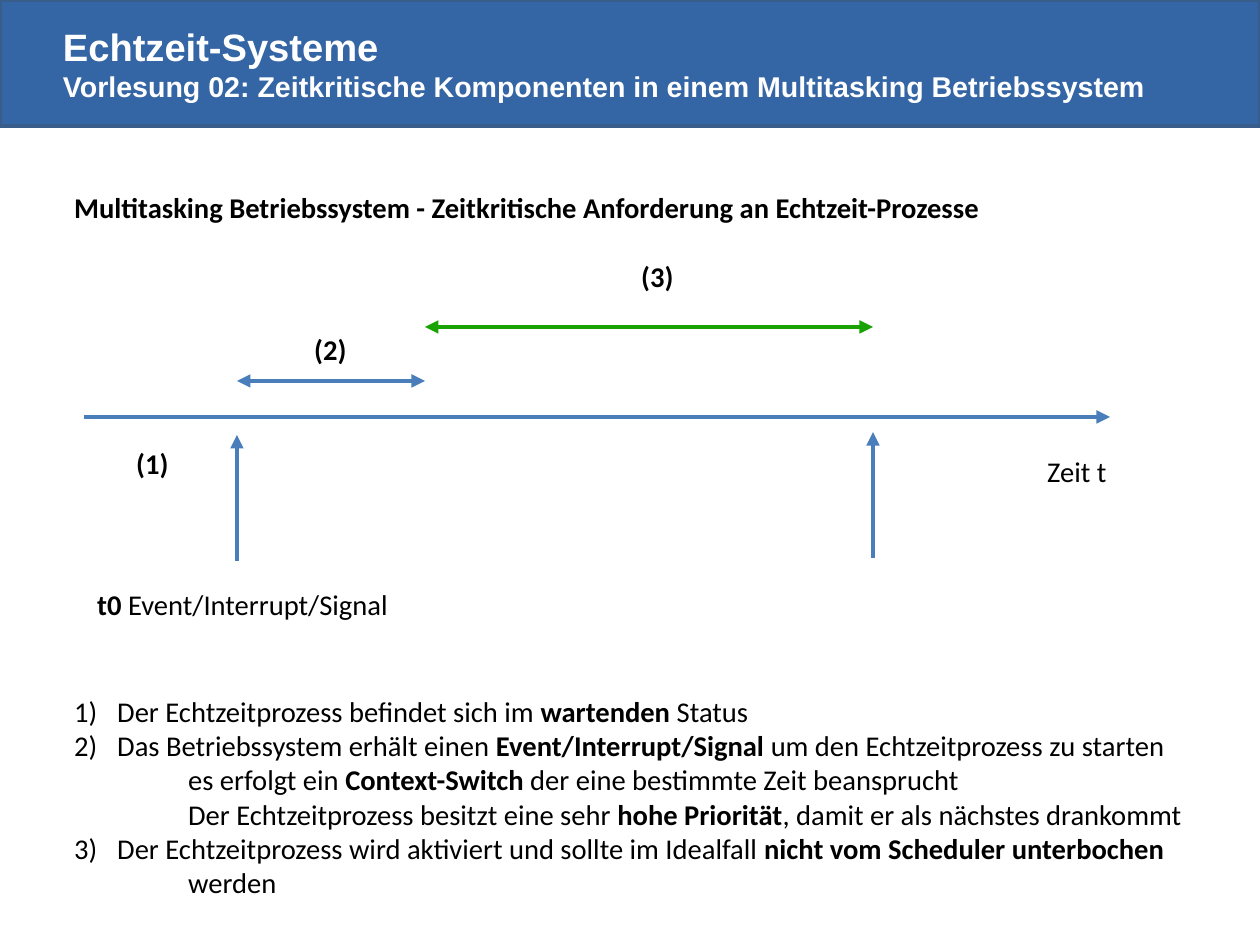
"""Build the slide on time-critical demands in a multitasking operating system."""
from lxml import etree
from pptx import Presentation
from pptx import util as u
from pptx.dml.color import RGBColor
from pptx.enum import shapes, text
from pptx.oxml import ns

PX = 8000
WHITE = RGBColor(0xFF, 0xFF, 0xFF)
BLACK = RGBColor(0, 0, 0)
BANNER_FILL = RGBColor(0x34, 0x65, 0xA4)
BANNER_EDGE = RGBColor(0x38, 0x5D, 0x8A)
BLUE = RGBColor(0x4A, 0x7E, 0xBB)
GREEN = RGBColor(0x18, 0xA3, 0x03)

SLIDE_WIDTH, SLIDE_HEIGHT = 1260, 945
LEFT_EDGE = 63
LINE_HEIGHT = 46
NUMBER_INDENT = 43
DETAIL_INDENT = 114
AXIS_Y = 417
EVENT_X, SWITCH_X, END_X = 237, 425, 873
EVENT_LENGTH = 126

LABELS = [
    (1036, 448, 83, "Zeit t"),
    (86, 581, 323, "*t0* Event/Interrupt/Signal"),
    (125, 440, 55, "*(1)*"),
    (303, 326, 56, "*(2)*"),
    (630, 253, 56, "*(3)*"),
]

STEPS = [
    (1, "Der Echtzeitprozess befindet sich im *wartenden* Status"),
    (1, "Das Betriebssystem erhält einen *Event/Interrupt/Signal *um den Echtzeitprozess zu starten"),
    (None, "es erfolgt ein *Context-Switch* der eine bestimmte Zeit beansprucht"),
    (None, "Der Echtzeitprozess besitzt eine sehr *hohe Priorität*, damit er als nächstes drankommt"),
    (3, "Der Echtzeitprozess wird aktiviert und sollte im Idealfall *nicht vom Scheduler unterbochen*"),
    (None, "werden"),
]


def px(length):
    """Turn px into EMU."""
    return u.Emu(length * PX)


def add_frame(slide, left, top, width, height, wrap=True):
    """Add a text box and return its text frame."""
    frame = slide.shapes.add_textbox(px(left), px(top), px(width), px(height)).text_frame
    frame.word_wrap = wrap
    return frame


def style_run(run, size, font, color, bold):
    """Set the font of one run."""
    run.font.size = u.Pt(size)
    run.font.name = font
    run.font.color.rgb = color
    run.font.bold = bold


def fill_paragraph(paragraph, marked):
    """Write body text in which asterisks enclose the bold parts."""
    for position, part in enumerate(marked.split("*")):
        if part:
            run = paragraph.add_run()
            run.text = part
            style_run(run, 18, "Calibri", BLACK, position % 2 == 1)


def indent_paragraph(paragraph, start):
    """Number a step from start, or indent it as a detail without a number."""
    properties = paragraph._p.get_or_add_pPr()
    margin, hanging = (NUMBER_INDENT, -NUMBER_INDENT) if start else (DETAIL_INDENT, 0)
    properties.set("marL", str(px(margin)))
    properties.set("indent", str(px(hanging)))
    if start:
        etree.SubElement(properties, ns.qn("a:buAutoNum"), type="arabicParenR", startAt=str(start))


def add_banner(slide):
    """Add the heading band with its two title lines."""
    band = slide.shapes.add_shape(shapes.MSO_SHAPE.RECTANGLE, 0, 0, px(SLIDE_WIDTH), px(126))
    band.shadow.inherit = False
    band.fill.solid()
    band.fill.fore_color.rgb = BANNER_FILL
    band.line.color.rgb = BANNER_EDGE
    band.line.width = u.Pt(2)
    title = add_frame(slide, LEFT_EDGE, 23, 1134, 81)
    title.margin_left = title.margin_right = title.margin_top = title.margin_bottom = 0
    title.vertical_anchor = text.MSO_ANCHOR.MIDDLE
    title.text = ("Echtzeit-Systeme\v"
                  "Vorlesung 02: Zeitkritische Komponenten in einem Multitasking Betriebssystem")
    for run, size in zip(title.paragraphs[0].runs, (24, 18)):
        style_run(run, size, "Arial", WHITE, True)


def add_arrow(slide, start, end, color=BLUE, both=False):
    """Add an arrow with a head at its end or at both ends."""
    arrow = slide.shapes.add_connector(
        shapes.MSO_CONNECTOR.STRAIGHT, *(px(value) for value in (*start, *end)))
    arrow.line.color.rgb = color
    arrow.line.width = u.Pt(2.83)
    outline = arrow.line._get_or_add_ln()
    for tip in ("a:headEnd", "a:tailEnd") if both else ("a:tailEnd",):
        etree.SubElement(outline, ns.qn(tip), type="triangle")
    etree.SubElement(arrow._element.spPr, ns.qn("a:effectLst"))


def add_timeline(slide):
    """Add the time axis, its two moments, its two spans and the labels."""
    add_arrow(slide, (84, AXIS_Y), (1110, AXIS_Y))
    for moment_x, tip_y in ((EVENT_X, 435), (END_X, 432)):
        add_arrow(slide, (moment_x, tip_y + EVENT_LENGTH), (moment_x, tip_y))
    add_arrow(slide, (EVENT_X, 381), (SWITCH_X, 381), both=True)
    add_arrow(slide, (SWITCH_X, 327), (END_X, 327), GREEN, both=True)
    for left, top, width, label in LABELS:
        frame = add_frame(slide, left, top, width, LINE_HEIGHT, wrap=False)
        fill_paragraph(frame.paragraphs[0], label)


def add_steps(slide):
    """Add the numbered explanation of the spans."""
    frame = add_frame(slide, LEFT_EDGE, 688, 1205, 219)
    for position, (start, step) in enumerate(STEPS):
        paragraph = frame.add_paragraph() if position else frame.paragraphs[0]
        indent_paragraph(paragraph, start)
        fill_paragraph(paragraph, step)


def main():
    """Build and save the slide."""
    deck = Presentation()
    deck.slide_width, deck.slide_height = px(SLIDE_WIDTH), px(SLIDE_HEIGHT)
    slide = deck.slides.add_slide(deck.slide_layouts[6])
    add_banner(slide)
    heading = add_frame(slide, LEFT_EDGE, 184, 1116, LINE_HEIGHT)
    fill_paragraph(heading.paragraphs[0],
                   "*Multitasking Betriebssystem - Zeitkritische Anforderung an Echtzeit-Prozesse*")
    add_timeline(slide)
    add_steps(slide)
    deck.save("out.pptx")


if __name__ == "__main__":
    main()
